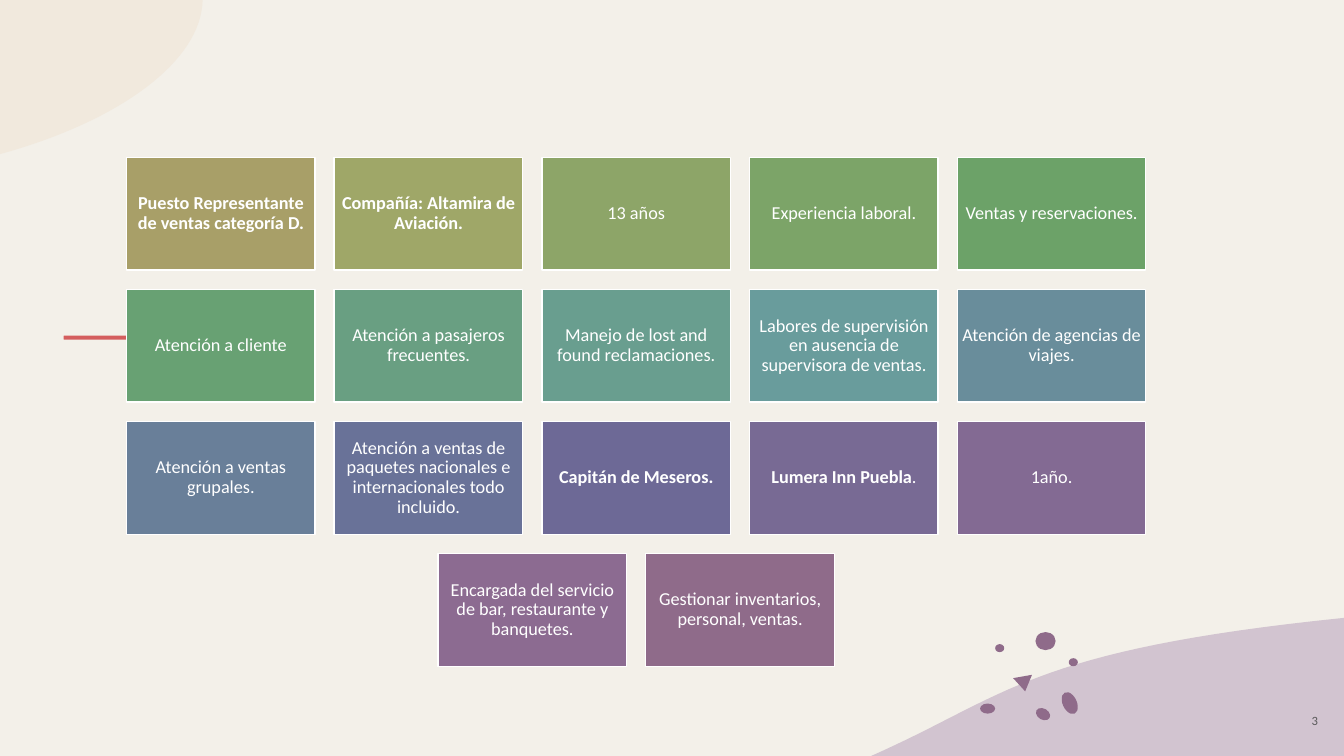
from dataclasses import dataclass

from pptx import Presentation
from pptx import util as u
from pptx.dml.color import RGBColor
from pptx.enum import shapes, text

COLOURS: dict[str, str] = {
    "paper": "F3F0E9", "cream": "F1E9DD", "coral": "D45E5E", "lilac": "D2C4D0",
    "white": "FFFFFF", "grey": "595959", "sand": "A89F68", "olive": "9FA768",
    "moss": "8DA568", "leaf": "7CA468", "green": "6CA268", "mint": "68A173",
    "jade": "699F82", "sea": "699E8F", "teal": "699C9C", "lagoon": "698D9B",
    "steel": "697F99", "slate": "697298", "indigo": "6D6996", "violet": "786A94",
    "purple": "836A93", "plum": "8C6B91", "mauve": "8F6B8A",
}
FONT = "Calibri"
SLIDE_W, SLIDE_H = 13.33, 7.5
CARD_W, CARD_H = 1.87, 1.12
PITCH_X, PITCH_Y = 2.06, 1.31
GRID_CENTRE, GRID_TOP = 6.31, 1.56
CURVE_STEPS = 32
SHAPE = shapes.MSO_SHAPE

Point = tuple[float, float]


@dataclass(frozen=True)
class Card:
    colour: str
    body: str
    bold: bool = False
    tail: str = ""


@dataclass(frozen=True)
class Corner:
    colour: str
    tip: Point
    curve: tuple[Point, Point, Point, Point]


@dataclass(frozen=True)
class Mark:
    x: float
    y: float
    w: float
    h: float
    turn: float = 0
    kind: SHAPE = SHAPE.OVAL
    colour: str = "mauve"


ROWS: list[list[Card]] = [
    [
        Card("sand", "Puesto Representante de ventas categoría D.", True),
        Card("olive", "Compañía: Altamira de Aviación.", True),
        Card("moss", "13 años"),
        Card("leaf", "Experiencia laboral."),
        Card("green", "Ventas y reservaciones."),
    ],
    [
        Card("mint", "Atención a cliente"),
        Card("jade", "Atención a pasajeros frecuentes."),
        Card("sea", "Manejo de lost and found reclamaciones."),
        Card("teal", "Labores de supervisión en ausencia de supervisora de ventas."),
        Card("lagoon", "Atención de agencias de viajes."),
    ],
    [
        Card("steel", "Atención a ventas grupales."),
        Card("slate", "Atención a ventas de paquetes nacionales e internacionales todo incluido."),
        Card("indigo", "Capitán de Meseros.", True),
        Card("violet", "Lumera Inn Puebla", True, "."),
        Card("purple", "1año."),
    ],
    [
        Card("plum", "Encargada del servicio de bar, restaurante y banquetes."),
        Card("mauve", "Gestionar inventarios, personal, ventas."),
    ],
]

CORNERS: list[Corner] = [
    Corner("cream", (0, 0), ((0, 1.53), (1.2, 1.2), (2, 0.6), (2.01, 0))),
    Corner("lilac", (SLIDE_W, SLIDE_H),
           ((8.64, SLIDE_H), (10, 6.9), (10.2, 6.45), (SLIDE_W, 6.13))),
]

MARKS: list[Mark] = [
    Mark(0.63, 3.33, 1.12, 0.04, kind=SHAPE.ROUNDED_RECTANGLE, colour="coral"),
    Mark(10.27, 7.03, 0.15, 0.11, 30),
    Mark(10.54, 6.86, 0.14, 0.23, -25),
    Mark(9.72, 6.98, 0.15, 0.1),
    Mark(10.27, 6.27, 0.2, 0.18),
    Mark(9.87, 6.39, 0.09, 0.08),
    Mark(10.6, 6.53, 0.09, 0.08),
    Mark(10.06, 6.71, 0.19, 0.15, -10, SHAPE.FLOWCHART_MERGE),
]


def rgb(name: str) -> RGBColor:
    return RGBColor.from_string(COLOURS[name])


def paint(sp, colour: str) -> None:
    sp.shadow.inherit = False
    sp.fill.solid()
    sp.fill.fore_color.rgb = rgb(colour)
    sp.line.fill.background()


def curve_point(curve: tuple[Point, Point, Point, Point], t: float) -> Point:
    weights = ((1 - t) ** 3, 3 * t * (1 - t) ** 2, 3 * t * t * (1 - t), t ** 3)
    return (sum(k * x for k, (x, _) in zip(weights, curve)),
            sum(k * y for k, (_, y) in zip(weights, curve)))


def draw_corner(s, corner: Corner) -> None:
    edge = [curve_point(corner.curve, i / CURVE_STEPS) for i in range(CURVE_STEPS + 1)]
    points = [(u.Inches(x), u.Inches(y)) for x, y in [corner.tip, *edge]]
    builder = s.shapes.build_freeform(*points[0])
    builder.add_line_segments(points[1:], close=True)
    paint(builder.convert_to_shape(), corner.colour)


def add_preset(s, kind: SHAPE, x: float, y: float, w: float, h: float, colour: str):
    sp = s.shapes.add_shape(kind, u.Inches(x), u.Inches(y), u.Inches(w), u.Inches(h))
    paint(sp, colour)
    return sp


def draw_mark(s, mark: Mark) -> None:
    sp = add_preset(s, mark.kind, mark.x, mark.y, mark.w, mark.h, mark.colour)
    sp.rotation = mark.turn


def centred_paragraph(tf):
    tf.word_wrap = True
    tf.vertical_anchor = text.MSO_ANCHOR.MIDDLE
    p = tf.paragraphs[0]
    p.alignment = text.PP_ALIGN.CENTER
    return p


def add_run(p, body: str, size: float, colour: str, bold: bool = False):
    r = p.add_run()
    r.text = body
    r.font.name = FONT
    r.font.size = u.Pt(size)
    r.font.bold = bold
    r.font.color.rgb = rgb(colour)
    return r


def draw_card(s, card: Card, x: float, y: float) -> None:
    sp = add_preset(s, SHAPE.RECTANGLE, x, y, CARD_W, CARD_H, card.colour)
    sp.line.color.rgb = rgb("white")
    sp.line.width = u.Pt(1)
    tf = sp.text_frame
    tf.margin_left = tf.margin_right = tf.margin_top = tf.margin_bottom = u.Inches(0.05)
    p = centred_paragraph(tf)
    p.line_spacing = 0.9
    add_run(p, card.body, 13, "white", card.bold)
    if card.tail:
        add_run(p, card.tail, 13, "white")


def draw_page_number(s, number: str) -> None:
    tb = s.shapes.add_textbox(u.Inches(12.75), u.Inches(6.95), u.Inches(0.58), u.Inches(0.4))
    r = add_run(centred_paragraph(tb.text_frame), number, 9, "grey")
    r._r.get_or_add_rPr().set("spc", "110")


def main() -> None:
    prs = Presentation()
    prs.slide_width, prs.slide_height = u.Inches(SLIDE_W), u.Inches(SLIDE_H)
    s = prs.slides.add_slide(prs.slide_layouts[6])
    s.background.fill.solid()
    s.background.fill.fore_color.rgb = rgb("paper")
    for corner in CORNERS:
        draw_corner(s, corner)
    for mark in MARKS:
        draw_mark(s, mark)
    for i, row in enumerate(ROWS):
        left = GRID_CENTRE - ((len(row) - 1) * PITCH_X + CARD_W) / 2
        for j, card in enumerate(row):
            draw_card(s, card, left + j * PITCH_X, GRID_TOP + i * PITCH_Y)
    draw_page_number(s, "3")
    prs.save("out.pptx")


if __name__ == "__main__":
    main()
